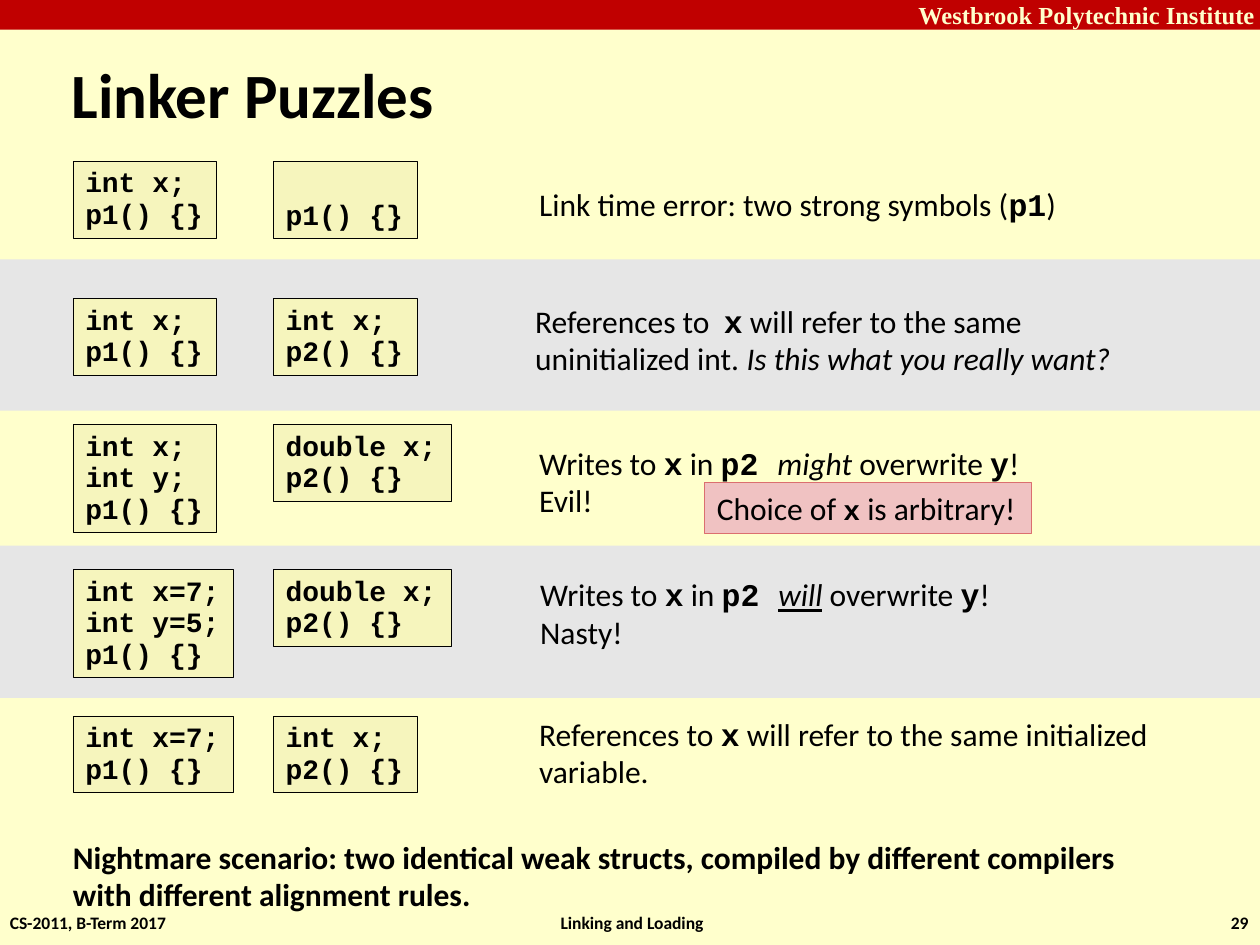
import pptx
import pptx.util
import pptx.dml.color
import pptx.enum.shapes
import pptx.enum.text
from pptx.util import Cm, Pt

ANCHOR = pptx.enum.text.MSO_ANCHOR
ALIGN = pptx.enum.text.PP_ALIGN
SANS, MONO, SERIF = "Calibri", "Courier New", "Times New Roman"
CODE = dict(font=MONO, bold=True)
ITALIC = dict(italic=True)
INSETS = (0.25, 0.13, 0.25, 0.13)

# All positions are in centimetres.
BANDS = [(5.23, 3.05), (11.0, 3.07)]
CODE_LEFTS = (1.47, 5.51)

# top, code of both modules, explanation (left, top, width), explanation lines
PUZZLES = [
    (3.25, (["int x;", "p1() {}"], ["p1() {}"]), (10.62, 3.63, 11.25),
     [["Link time error: two strong symbols (", ("p1", CODE), ")"]]),
    (6.02, (["int x;", "p1() {}"], ["int x;", "p2() {}"]), (10.54, 5.99, 12.22),
     [["References to  ", ("x", CODE), " will refer to the same"],
      ["uninitialized int. ", ("Is this what you really want?", ITALIC)]]),
    (8.56, (["int x;", "int y;", "p1() {}"], ["double x;", "p2() {}"]), (10.62, 8.86, 10.03),
     [["Writes to ", ("x", CODE), " in ", ("p2 ", CODE), ("might", ITALIC),
       " overwrite ", ("y", CODE), "!"],
      ["Evil!"]]),
    (11.48, (["int x=7;", "int y=5;", "p1() {}"], ["double x;", "p2() {}"]), (10.64, 11.51, 9.65),
     [["Writes to ", ("x", CODE), " in ", ("p2 ", CODE),
       ("will", dict(italic=True, underline=True)), " overwrite ", ("y", CODE), "!"],
      ["Nasty!"]]),
    (14.43, (["int x=7;", "p1() {}"], ["int x;", "p2() {}"]), (10.62, 14.33, 12.93),
     [["References to ", ("x", CODE), " will refer to the same initialized"],
      ["variable."]]),
]
NIGHTMARE = [
    ["Nightmare scenario: two identical weak structs, compiled by different compilers"],
    ["with different alignment rules."],
]
FOOTERS = [
    ("CS-2011, B-Term 2017", 0.2, 3.25, ALIGN.LEFT),
    ("Linking and Loading", 11.76, 1.96, ALIGN.CENTER),
    ("29", 24.74, 0.43, ALIGN.RIGHT),
]


def rgb(hex_color):
    return pptx.dml.color.RGBColor.from_string(hex_color)


def write(sp, lines, size=18, font=SANS, color="000000", bold=False, align=ALIGN.LEFT,
          spacing=None, anchor=ANCHOR.TOP, insets=INSETS, wrap=False):
    """Fill sp with lines; each is a list of strings or (string, run format) pairs."""
    tf = sp.text_frame
    tf.auto_size = pptx.enum.text.MSO_AUTO_SIZE.NONE
    tf.word_wrap = wrap
    tf.vertical_anchor = anchor
    tf.margin_left, tf.margin_top, tf.margin_right, tf.margin_bottom = map(Cm, insets)
    for i, line in enumerate(lines):
        p = tf.add_paragraph() if i else tf.paragraphs[0]
        p.alignment = align
        if spacing:
            p.line_spacing = spacing
        for piece in line:
            text, extra = (piece, {}) if isinstance(piece, str) else piece
            look = dict(size=size, font=font, bold=bold, italic=False, underline=False) | extra
            r = p.add_run()
            r.text = text
            r.font.name = look["font"]
            r.font.size = Pt(look["size"])
            r.font.bold = look["bold"]
            r.font.italic = look["italic"]
            r.font.underline = look["underline"]
            r.font.color.rgb = rgb(color)


def add_rect(s, left, top, width, height, fill, line=None, weight=0.25):
    sp = s.shapes.add_shape(pptx.enum.shapes.MSO_SHAPE.RECTANGLE,
                            Cm(left), Cm(top), Cm(width), Cm(height))
    sp.shadow.inherit = False
    sp.fill.solid()
    sp.fill.fore_color.rgb = rgb(fill)
    if line:
        sp.line.color.rgb = rgb(line)
        sp.line.width = Pt(weight)
    else:
        sp.line.fill.background()
    return sp


def add_text(s, left, top, width, height, lines, **fmt):
    sp = s.shapes.add_textbox(Cm(left), Cm(top), Cm(width), Cm(height))
    write(sp, lines, **fmt)


def add_code(s, left, top, code):
    """Size the box by its text; a lone line sits at the bottom of a two-line box."""
    width = 0.34 * max(map(len, code)) + 0.52
    height = 0.63 * max(len(code), 2) + 0.29
    sp = add_rect(s, left, top, width, height, "F6F5BD", line="000000")
    write(sp, [[text] for text in code], size=16, font=MONO, bold=True, spacing=0.94,
          anchor=ANCHOR.BOTTOM if len(code) == 1 else ANCHOR.TOP)


def main():
    prs = pptx.Presentation()
    prs.slide_width, prs.slide_height = Cm(25.4), Cm(19.05)
    s = prs.slides.add_slide(prs.slide_layouts[5])
    s.background.fill.solid()
    s.background.fill.fore_color.rgb = rgb("FFFFCC")

    bar = add_rect(s, 0, 0, 25.4, 0.6, "C00000")
    write(bar, [["Westbrook Polytechnic Institute"]], size=14, font=SERIF, color="FFFFCC",
          bold=True, align=ALIGN.RIGHT, anchor=ANCHOR.MIDDLE, insets=(0, 0, 0.1, 0), wrap=True)
    for top, height in BANDS:
        add_rect(s, 0, top, 25.4, height, "E6E6E6")

    title = s.shapes.title
    title.left, title.top, title.width, title.height = map(Cm, (1.19, 0.79, 24.21, 2.18))
    write(title, [["Linker Puzzles"]], size=36, bold=True, anchor=ANCHOR.MIDDLE, wrap=True)

    for top, modules, (left, text_top, width), lines in PUZZLES:
        for code_left, code in zip(CODE_LEFTS, modules):
            add_code(s, code_left, top, code)
        add_text(s, left, text_top, width, 0.76 * len(lines) + 0.26, lines, spacing=0.98)
    add_text(s, 1.22, 16.81, 21.69, 1.78, NIGHTMARE, bold=True, spacing=0.98)

    for text, left, width, align in FOOTERS:
        add_text(s, left, 18.39, width, 0.43, [[text]], size=10, bold=True, align=align,
                 anchor=ANCHOR.MIDDLE, insets=(0, 0, 0, 0))

    callout = add_rect(s, 14.2, 9.73, 6.6, 1.02, "F0C2C2", line="DB6F6F", weight=0.75)
    write(callout, [["Choice of ", ("x", CODE | dict(size=16)), " is arbitrary!"]])

    prs.save("out.pptx")


if __name__ == "__main__":
    main()
